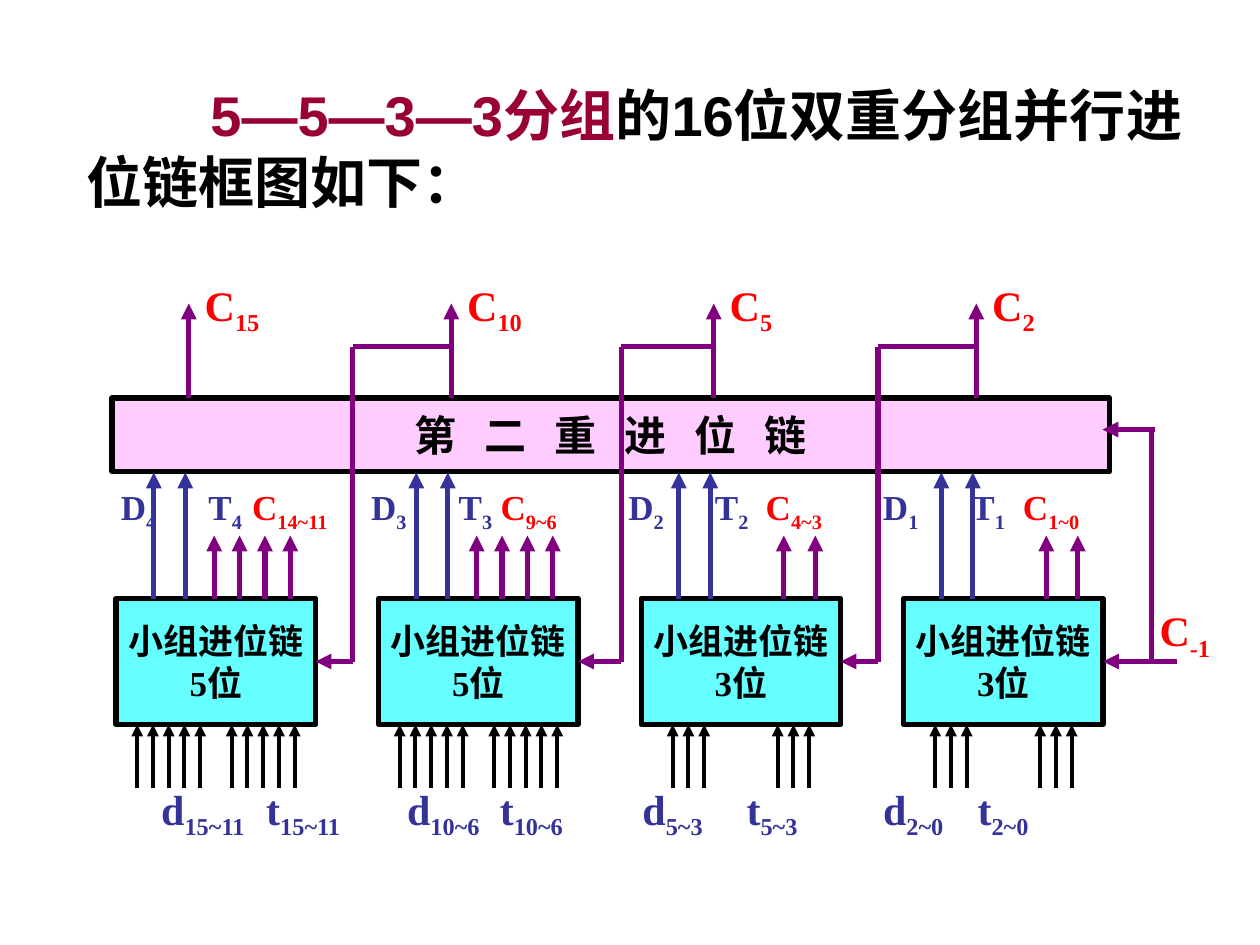
from dataclasses import dataclass

from lxml import etree
from pptx import Presentation
from pptx import util as u
from pptx.dml.color import RGBColor
from pptx.enum import shapes, text
from pptx.oxml.ns import qn


@dataclass(frozen=True)
class Theme:
    black: str = "000000"
    wine: str = "990033"
    red: str = "FF0000"
    blue: str = "333399"
    plum: str = "800080"
    pink: str = "FFCCFF"
    aqua: str = "66FFFF"
    sans: str = "Arial"
    serif: str = "Times New Roman"
    head: float = 32
    large: float = 24
    small: float = 20
    thick: float = 3
    thin: float = 2.25


def write(par, words, size, color, font, sub=False, gap=0):
    """Add one bold run; sub lowers it, gap spaces its letters in points."""
    run = par.add_run()
    run.text = words
    run.font.size = u.Pt(size)
    run.font.bold = True
    run.font.name = font
    run.font.color.rgb = RGBColor.from_string(color)
    props = run._r.get_or_add_rPr()
    if sub:
        props.set("baseline", "-25000")
    if gap:
        props.set("spc", str(gap * 100))


class Board:
    def __init__(self, deck, theme):
        self.theme = theme
        self.slide = deck.slides.add_slide(deck.slide_layouts[5])

    def title(self, x, y, w, h, parts, indent):
        t = self.theme
        shape = self.slide.shapes.title
        shape.left, shape.top, shape.width, shape.height = map(u.Pt, (x, y, w, h))
        frame = shape.text_frame
        frame.word_wrap = True
        frame.auto_size = text.MSO_AUTO_SIZE.NONE
        frame.vertical_anchor = text.MSO_ANCHOR.MIDDLE
        par = frame.paragraphs[0]
        par.alignment = text.PP_ALIGN.LEFT
        par._p.get_or_add_pPr().set("indent", str(u.Pt(indent)))
        for words, color in parts:
            write(par, words, t.head, color, t.sans)

    def box(self, x, y, w, h, fill, lines, size):
        """Draw a block; each line is a list of (words, letter gap)."""
        t = self.theme
        shape = self.slide.shapes.add_shape(
            shapes.MSO_SHAPE.RECTANGLE, *map(u.Pt, (x, y, w, h)))
        shape.shadow.inherit = False
        shape.fill.solid()
        shape.fill.fore_color.rgb = RGBColor.from_string(fill)
        shape.line.color.rgb = RGBColor.from_string(t.black)
        shape.line.width = u.Pt(t.thick)
        frame = shape.text_frame
        frame.word_wrap = False
        frame.vertical_anchor = text.MSO_ANCHOR.MIDDLE
        for i, line in enumerate(lines):
            par = frame.add_paragraph() if i else frame.paragraphs[0]
            par.alignment = text.PP_ALIGN.CENTER
            for words, gap in line:
                write(par, words, size, t.black, t.serif, gap=gap)
        return shape

    def label(self, x, y, w, h, items, size, stops=()):
        """Write (letter, index, color) items, one per tab stop."""
        frame = self.slide.shapes.add_textbox(*map(u.Pt, (x, y, w, h))).text_frame
        frame.word_wrap = bool(stops)
        frame.margin_right = 0
        par = frame.paragraphs[0]
        if stops:
            tabs = etree.SubElement(par._p.get_or_add_pPr(), qn("a:tabLst"))
            for stop in stops:
                etree.SubElement(tabs, qn("a:tab"), pos=str(u.Pt(stop)), algn="l")
        for i, (name, index, color) in enumerate(items):
            lead = "\t" if i else ""
            write(par, lead + name, size, color, self.theme.serif)
            write(par, index, size, color, self.theme.serif, sub=True)

    def line(self, x1, y1, x2, y2, color, width=None, arrow=True, goal=None):
        """Draw a line; goal is the (shape, side) its end is joined to."""
        wire = self.slide.shapes.add_connector(
            shapes.MSO_CONNECTOR.STRAIGHT, *map(u.Pt, (x1, y1, x2, y2)))
        wire.line.color.rgb = RGBColor.from_string(color)
        wire.line.width = u.Pt(width or self.theme.thick)
        if arrow:
            etree.SubElement(wire.line._get_or_add_ln(), qn("a:tailEnd"),
                             type="triangle")
        etree.SubElement(wire._element.spPr, qn("a:effectLst"))
        if goal:
            wire.end_connect(*goal)


def main():
    t = Theme()
    deck = Presentation()
    deck.slide_width, deck.slide_height = u.Pt(720), u.Pt(540)
    board = Board(deck, t)

    # Heading
    board.title(42, 35, 660, 98.5, [
        ("5—5—3—3分组", t.wine), ("的16位双重分组并行进位链框图如下：", t.black)], 71)

    # Levels shared by all groups
    bar_top, bar_low = 227.5, 269.5
    top, low, mid = 342, 414, 378
    wide = 114
    lefts = [66.4 + 150 * i for i in range(4)]
    bits = [5, 5, 3, 3]

    # Second-level chain and the four group chains
    board.box(64, bar_top, 570, bar_low - bar_top, t.pink,
              [[("第二重进位", 16), ("链", 0)]], t.large)
    blocks = [board.box(x, top, wide, low - top, t.aqua,
                        [[("小组进位链", 0)], [(f"{n}位", 0)]], t.small)
              for x, n in zip(lefts, bits)]

    # Input pins below and carry pins above each group
    for x, n in zip(lefts, bits):
        starts = (12, 66) if n == 5 else (18, 78)
        for start in starts:
            for k in range(n):
                pin = x + start + 9 * k
                board.line(pin, 450, pin, low, t.black, t.thin)
        first, step = (56, 14.5) if n == 5 else (81.5, 18)
        for k in range(n - 1):
            pin = x + first + step * k
            board.line(pin, top, pin, 306, t.plum)

    # Input labels
    spans = ["15~11", "10~6", "5~3", "2~0"]
    board.label(85, 444, 530, 40,
                [(c, s, t.blue) for s in spans for c in "dt"], t.large,
                [60, 140.5, 193.5, 275, 334.5, 412.5, 466.5])

    # Generate, propagate and carry labels
    row = []
    for n, span in zip("4321", ["14~11", "9~6", "4~3", "1~0"]):
        row += [("D", n, t.blue), ("T", n, t.blue), ("C", span, t.red)]
    board.label(62, 274, 570, 34.5, row, t.small,
                [50, 75, 143, 193, 217, 290, 339.5, 368.5, 435.5, 486, 515.5])

    # Generate and propagate arrows, carry out of the second level
    for x, n in zip(lefts, ["15", "10", "5", "2"]):
        for shift in (21.5, 39.5):
            board.line(x + shift, top, x + shift, 270, t.blue)
        board.line(x + 41.5, bar_top, x + 41.5, 173.5, t.plum)
        board.label(x + 43.5, 156, 54, 40, [("C", n, t.red)], t.large)

    # Carry fed back to the group on the left
    for i, x in enumerate([201.5, 355, 501.75]):
        board.line(lefts[i + 1] + 41.5, 198, x, 198, t.plum, arrow=False)
        board.line(x, 198, x, mid, t.plum, arrow=False)
        board.line(x, mid, lefts[i] + wide, mid, t.plum, goal=(blocks[i], 3))

    # Initial carry
    board.line(672.5, mid, lefts[3] + wide, mid, t.plum, goal=(blocks[3], 3))
    board.line(658, 245.5, 658, mid, t.plum, arrow=False)
    board.line(660, 245.5, 630, 245.5, t.plum)
    board.label(655.5, 342, 54, 40, [("C", "-1", t.red)], t.large)

    deck.save("out.pptx")


if __name__ == "__main__":
    main()
